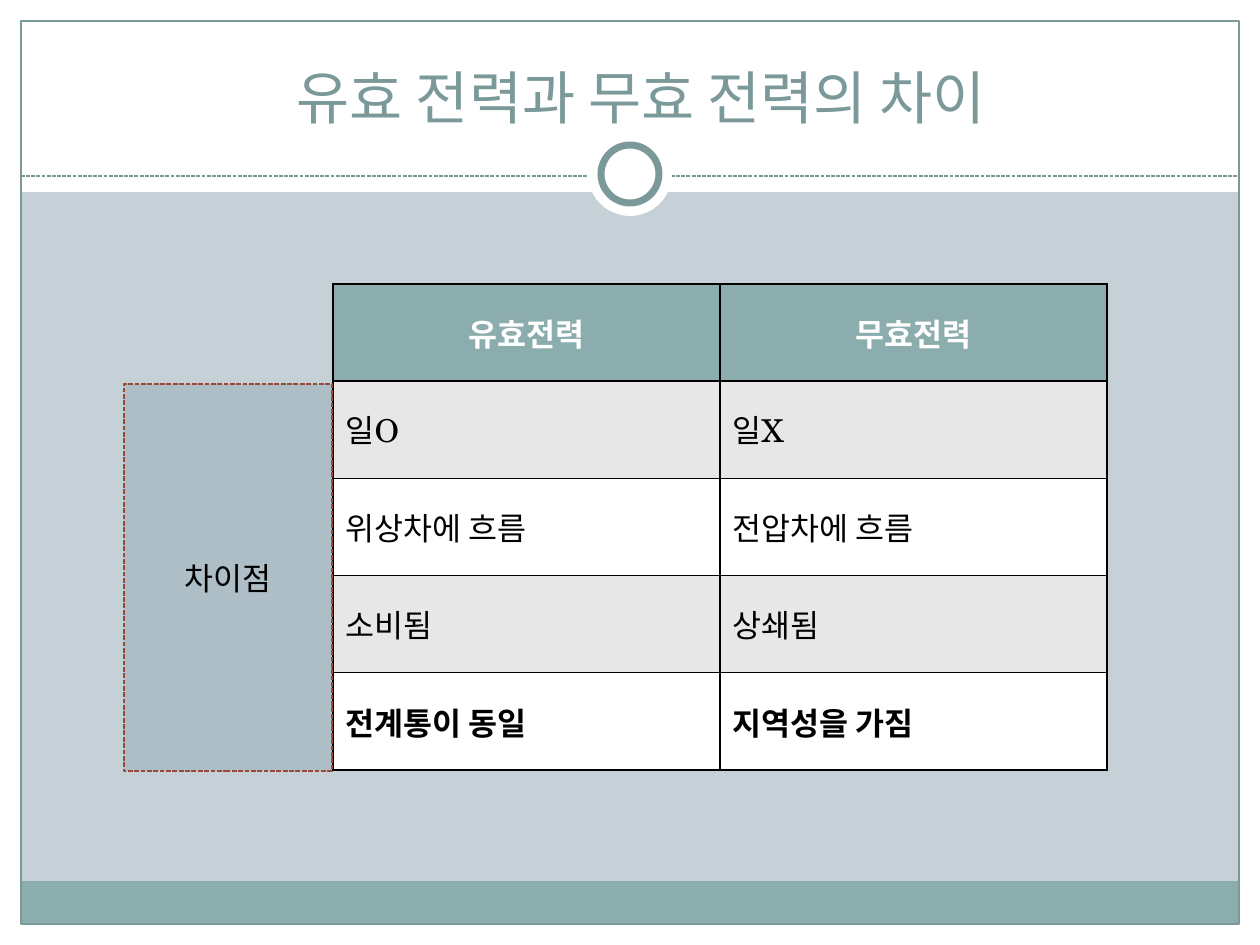
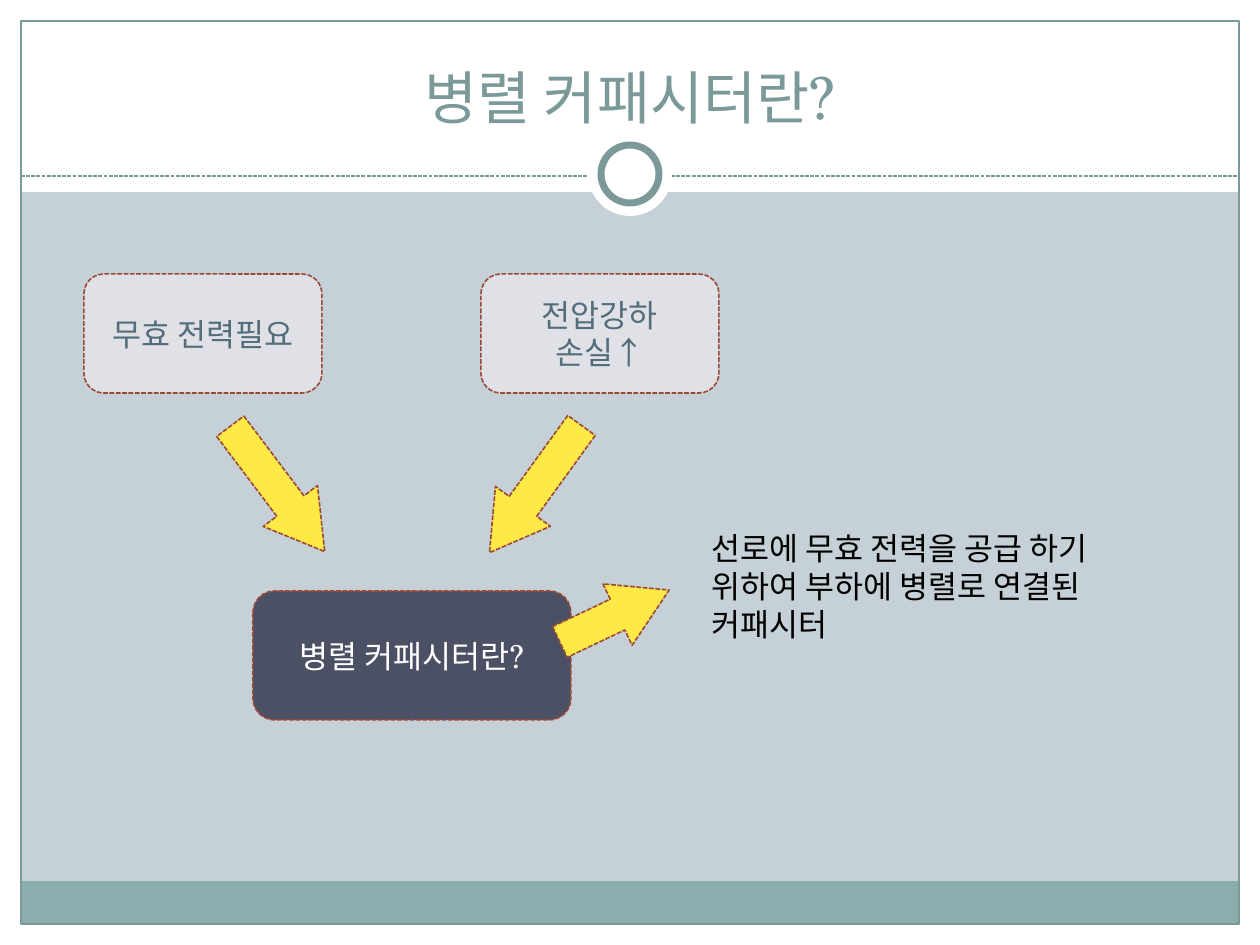
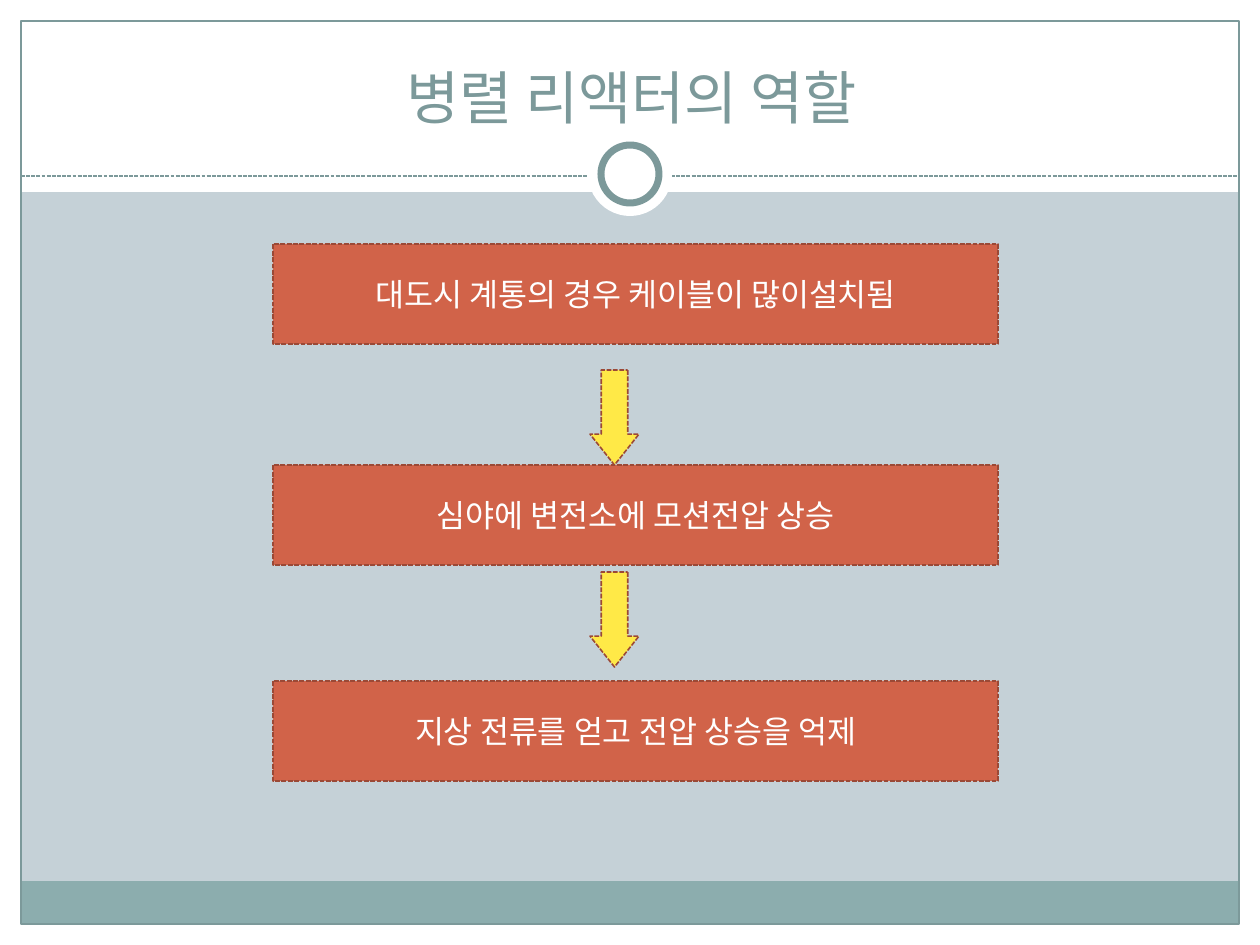
from dataclasses import dataclass
from typing import Optional

from lxml.etree import SubElement
from pptx import Presentation
from pptx.dml.color import RGBColor as Rgb
from pptx.enum.dml import MSO_LINE as Dash
from pptx.enum.shapes import MSO_CONNECTOR as Link, MSO_SHAPE as Kind
from pptx.enum.text import MSO_ANCHOR as Anchor, MSO_AUTO_SIZE as Auto, PP_ALIGN as Align
from pptx.oxml import parse_xml
from pptx.oxml.ns import nsdecls, qn
from pptx.util import Emu, Inches, Pt

FONT = "TeX Gyre Schola"
WHITE = Rgb(0xFF, 0xFF, 0xFF)
BLACK = Rgb(0, 0, 0)
MIST = Rgb(0xC5, 0xD1, 0xD7)
TEAL = Rgb(0x8C, 0xAD, 0xAE)
DEEP = Rgb(0x7C, 0x99, 0x9A)
RUST = Rgb(0x9B, 0x49, 0x36)
BRICK = Rgb(0xD1, 0x63, 0x49)
GOLD = Rgb(0xFF, 0xE9, 0x47)
STEEL = Rgb(0xAD, 0xBE, 0xC6)
PALE = Rgb(0xDF, 0xE1, 0xE7)
SLATE = Rgb(0x54, 0x6D, 0x7A)
NAVY = Rgb(0x4B, 0x50, 0x64)
GREY = Rgb(0xE7, 0xE7, 0xE7)

WIDE, HIGH, EDGE = 1260, 945, 21
MID = WIDE // 2
RULE = 176


@dataclass
class Box:
    x: int
    y: int
    w: int
    h: int
    fill: Optional[Rgb] = None
    kind: Kind = Kind.RECTANGLE
    line: Optional[Rgb] = None
    thick: float = 0.9
    dash: Optional[Dash] = None
    text: str = ""
    ink: Rgb = WHITE
    turn: float = 0
    adjust: tuple[float, ...] = ()


def px(size: int) -> Emu:
    return Emu(round(size * 914400 / 126))


def place(item, x: int, y: int, w: int, h: int) -> None:
    item.left, item.top, item.width, item.height = map(px, (x, y, w, h))


def write(frame, text: str, *, size: float = 18, ink: Rgb = BLACK, bold: bool = False,
          align: Align = Align.LEFT, anchor: Anchor = Anchor.MIDDLE) -> None:
    frame.vertical_anchor = anchor
    frame.text = text
    for para in frame.paragraphs:
        para.alignment = align
        for run in para.runs:
            font = run.font
            font.name, font.size, font.bold = FONT, Pt(size), bold
            font.color.rgb = ink


def draw(slide, box: Box):
    item = slide.shapes.add_shape(box.kind, *map(px, (box.x, box.y, box.w, box.h)))
    item.shadow.inherit = False
    item.rotation = box.turn
    for spot, value in enumerate(box.adjust):
        item.adjustments[spot] = value
    if box.fill is None:
        item.fill.background()
    else:
        item.fill.solid()
        item.fill.fore_color.rgb = box.fill
    if box.line is None:
        item.line.fill.background()
    else:
        item.line.color.rgb = box.line
        item.line.width = Pt(box.thick)
        if box.dash:
            item.line.dash_style = box.dash
    if box.text:
        write(item.text_frame, box.text, ink=box.ink, align=Align.CENTER)
    return item


def block(x: int, y: int, w: int, h: int, fill: Rgb, text: str,
          ink: Rgb = WHITE, kind: Kind = Kind.RECTANGLE) -> Box:
    return Box(x, y, w, h, fill, kind, RUST, dash=Dash.SQUARE_DOT, text=text, ink=ink)


def arrow(x: int, y: int, w: int, h: int, turn: float, shaft: float, head: float) -> Box:
    return Box(x, y, w, h, GOLD, Kind.RIGHT_ARROW, RUST, dash=Dash.SQUARE_DOT,
               turn=turn, adjust=(shaft, head))


def disc(size: int, **style) -> Box:
    return Box(MID - size // 2, 174 - size // 2, size, size, WHITE, Kind.OVAL, **style)


def dress(layout, slide) -> None:
    layout.background.fill.solid()
    layout.background.fill.fore_color.rgb = MIST
    for spare in list(layout.placeholders)[1:]:
        spare.element.getparent().remove(spare.element)
    base = HIGH - EDGE
    parts = [draw(slide, box) for box in (
        Box(0, base, WIDE, EDGE, WHITE),
        Box(0, 0, WIDE, 192, WHITE),
        Box(0, 0, EDGE, HIGH, WHITE),
        Box(WIDE - EDGE, 0, EDGE, HIGH, WHITE),
        Box(EDGE, base - 43, WIDE - 2 * EDGE, 43, TEAL),
        Box(EDGE, EDGE, WIDE - 2 * EDGE, HIGH - 2 * EDGE, line=DEEP, thick=0.75),
    )]
    rule = slide.shapes.add_connector(
        Link.STRAIGHT, px(EDGE), px(RULE), px(WIDE - EDGE), px(RULE))
    rule.line.color.rgb = DEEP
    rule.line.width = Pt(0.75)
    rule.line.dash_style = Dash.SQUARE_DOT
    SubElement(rule.element.spPr, qn("a:effectLst"))
    parts += [rule, draw(slide, disc(84)), draw(slide, disc(58, line=DEEP, thick=4))]
    for part in parts:
        layout.shapes.element.append(part.element)


def head(slide, text: str, x: int, y: int, w: int, h: int) -> None:
    title = slide.shapes.title
    place(title, x, y, w, h)
    write(title.text_frame, text, size=33, ink=DEEP, align=Align.CENTER, anchor=Anchor.BOTTOM)
    title.text_frame.auto_size = Auto.NONE


def edge(cell) -> None:
    props = cell._tc.get_or_add_tcPr()
    for spot, side in enumerate("LRTB"):
        props.insert(spot, parse_xml(
            f'<a:ln{side} {nsdecls("a")} w="12700"><a:solidFill>'
            f'<a:srgbClr val="{BLACK}"/></a:solidFill></a:ln{side}>'))


def grid(slide, rows: list[tuple[str, str]], x: int, y: int, w: int, h: int) -> None:
    table = slide.shapes.add_table(len(rows), len(rows[0]), *map(px, (x, y, w, h))).table
    for r, row in enumerate(rows):
        top = r == 0
        for c, text in enumerate(row):
            cell = table.cell(r, c)
            cell.fill.solid()
            cell.fill.fore_color.rgb = TEAL if top else GREY if r % 2 else WHITE
            write(cell.text_frame, text, ink=WHITE if top else BLACK,
                  bold=r in (0, len(rows) - 1), align=Align.CENTER if top else Align.LEFT)
            cell.vertical_anchor = Anchor.MIDDLE
            edge(cell)


def compare(slide) -> None:
    head(slide, "유효 전력과 무효 전력의 차이", 154, 37, 975, 100)
    grid(slide, [
        ("유효전력", "무효전력"),
        ("일O", "일X"),
        ("위상차에 흐름", "전압차에 흐름"),
        ("소비됨", "상쇄됨"),
        ("전계통이 동일", "지역성을 가짐"),
    ], 333, 284, 774, 486)
    draw(slide, block(124, 384, 208, 387, STEEL, "차이점", BLACK))


def define(slide) -> None:
    term = "병렬 커패시터란?"
    head(slide, term, 42, 32, 1176, 105)
    for x, text in ((84, "무효 전력필요"), (481, "전압강하\n손실↑")):
        draw(slide, block(x, 274, 238, 119, PALE, text, SLATE, Kind.ROUNDED_RECTANGLE))
    for x, turn in ((199, 53), (457, 125.9)):
        draw(slide, arrow(x, 455, 157, 68, turn, 0.5, 0.84))
    draw(slide, block(253, 591, 318, 129, NAVY, term, kind=Kind.ROUNDED_RECTANGLE))
    note = slide.shapes.add_textbox(*map(px, (699, 523, 438, 127))).text_frame
    write(note, "선로에 무효 전력을 공급 하기\n위하여 부하에 병렬로 연결된\n커패시터", anchor=Anchor.TOP)
    note.word_wrap = False
    note.auto_size = Auto.SHAPE_TO_FIT_TEXT
    draw(slide, arrow(554, 582, 121, 68, 334.6, 0.5, 0.84))


def explain(slide) -> None:
    head(slide, "병렬 리액터의 역할", 144, 37, 975, 100)
    for y, text in ((244, "대도시 계통의 경우 케이블이 많이설치됨"),
                    (465, "심야에 변전소에 모션전압 상승"),
                    (681, "지상 전류를 얻고 전압 상승을 억제")):
        draw(slide, block(273, y, 725, 100, BRICK, text))
    for y in (595, 393):
        draw(slide, arrow(567, y, 95, 49, 90, 0.54, 0.63))


def main() -> None:
    deck = Presentation()
    deck.slide_width, deck.slide_height = Inches(10), Inches(7.5)
    layout = deck.slide_layouts[5]
    slides = [deck.slides.add_slide(layout) for _ in range(3)]
    dress(layout, slides[0])
    for build, slide in zip((compare, define, explain), slides):
        build(slide)
    deck.save("out.pptx")


main()
